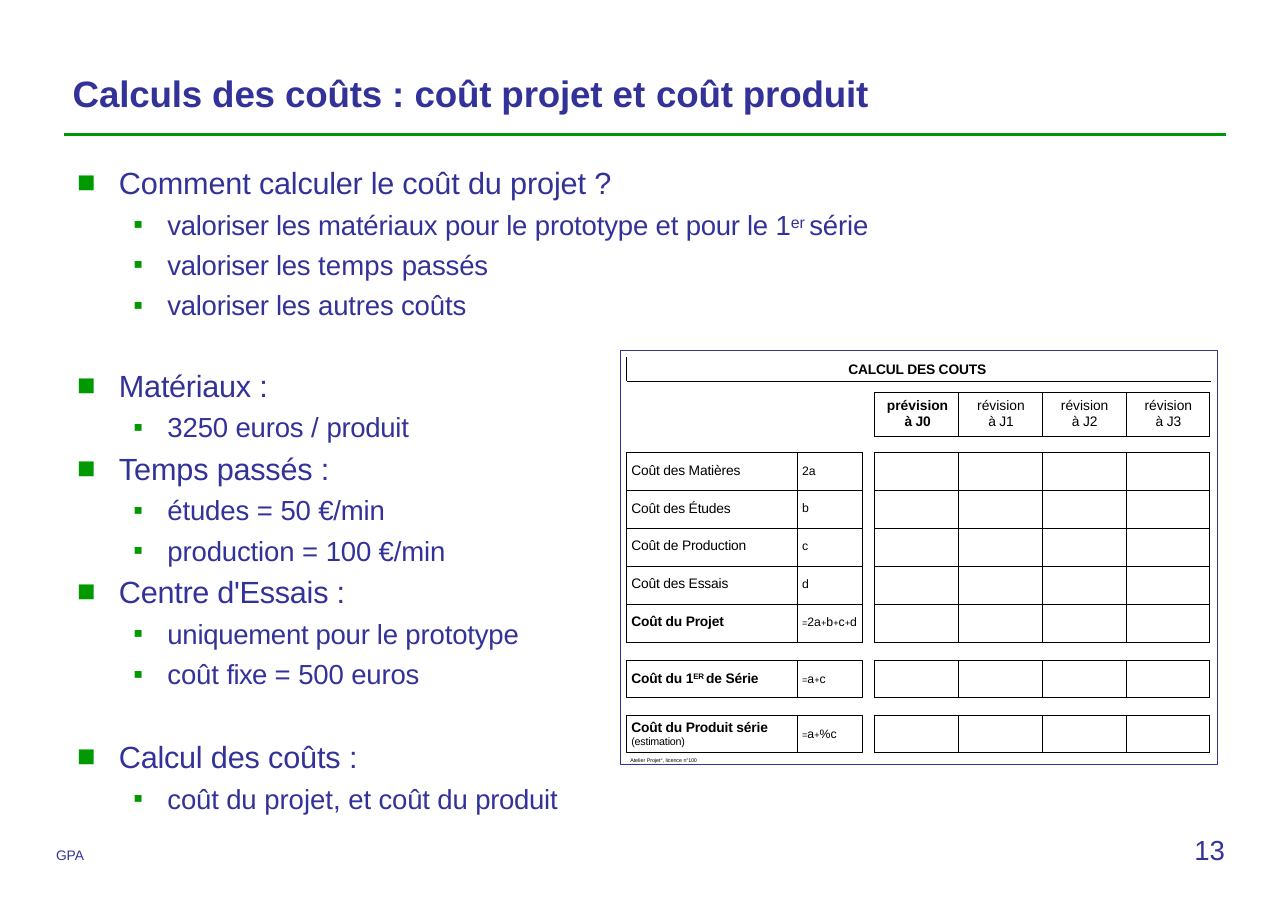
from itertools import groupby

from lxml import etree
from pptx import Presentation
from pptx.dml.color import RGBColor
from pptx.enum.shapes import MSO_CONNECTOR as CONNECTOR, MSO_SHAPE as SHAPE
from pptx.enum.text import MSO_ANCHOR as ANCHOR, PP_ALIGN as ALIGN
from pptx.oxml.ns import qn
from pptx.util import Emu, Inches, Pt

WIDTH, HEIGHT = Inches(11.69), Inches(8.26)
NAVY, GREEN, BULLET, BLACK = "323299", "009800", "009900", "000000"

# Cost sheet grid, in percent of the slide
LABEL_X, LABEL_W = 48.67, 13.26
FORMULA_X, FORMULA_W = 61.93, 5.05
REVISION_X, REVISION_W = 67.92, 6.5
COST_Y, COST_H = 49.76, 4.16
SERIES_Y, PRODUCT_Y, TOTAL_H = 72.52, 78.57, 4.12

# Runs are (text, letter spacing in hundredths of a point, optional baseline)
TITLE = [("Calculs des coûts ", -10), (": ", 0), ("coût projet ", -10),
         ("et ", 10), ("coût produit", -10)]
OUTLINE = [
    (17.19, 18.28, [
        (0, [("Comment ", -10), ("calculer le ", -20),
             ("coût du projet ", -10), ("?", 0)]),
        (1, [("valoriser les ", -20), ("matériaux ", -10), ("pour le ", -20),
             ("prototype et ", -10), ("pour le ", -20), ("1", -10),
             ("er ", -10, 25), ("série", -10)]),
        (1, [("valoriser les ", -20), ("temps ", 10), ("passés", -10)]),
        (1, [("valoriser les ", -20), ("autres coûts", -10)])]),
    (39.47, 36.68, [
        (0, [("Matériaux ", -20), (":", 0)]),
        (1, [("3250 euros ", -10), ("/ ", 0), ("produit", -20)]),
        (0, [("Temps ", -10), ("passés ", -20), (":", 0)]),
        (1, [("études ", -10), ("= ", 0), ("50 €/min", -10)]),
        (1, [("production ", -10), ("= ", 0), ("100 €/min", -10)]),
        (0, [("Centre d'Essais ", -20), (":", 0)]),
        (1, [("uniquement pour le ", -20), ("prototype", -10)]),
        (1, [("coût ", -10), ("fixe ", -40), ("= ", 0), ("500 euros", -10)])]),
    (80.27, 9.44, [
        (0, [("Calcul ", -20), ("des coûts ", -10), (":", 0)]),
        (1, [("coût du ", -10), ("projet, ", 0), ("et coût du ", -10),
             ("produit", -20)])]),
]
# Per level: size, line height, space before, left margin, hang, bullet
LEVELS = [(20, 23, 5, 0.4, -0.38, "■"), (18, 21, 5.3, 0.84, -0.31, "▪")]
COSTS = [("Coût des Matières", "2a"), ("Coût des Études", "b"),
         ("Coût de Production", "c"), ("Coût des Essais", "d"),
         ("Coût du Projet", "=2a+b+c+d")]
REVISIONS = ["prévision", "révision", "révision", "révision"]


def across(share):
    return Emu(round(WIDTH * share / 100))


def down(share):
    return Emu(round(HEIGHT * share / 100))


def area(x, y, w, h):
    return across(x), down(y), across(w), down(h)


def rgb(colour):
    return RGBColor.from_string(colour)


def write(paragraph, runs, size, colour=BLACK, bold=False):
    for text, spacing, *baseline in runs:
        run = paragraph.add_run()
        run.text = text
        run.font.name, run.font.size, run.font.bold = "Arial", Pt(size), bold
        run.font.color.rgb = rgb(colour)
        properties = run.font._element
        properties.set("spc", str(spacing))
        if baseline:
            properties.set("baseline", str(baseline[0] * 1000))


def write_formula(paragraph, formula):
    for is_sign, letters in groupby(formula, lambda letter: letter in "=+"):
        write(paragraph, [("".join(letters), 0)], 6 if is_sign else 8)


def indent(paragraph, margin, hang=0):
    properties = paragraph._p.get_or_add_pPr()
    properties.set("marL", str(Inches(margin)))
    properties.set("indent", str(Inches(hang)))
    return properties


def prepare(frame, top):
    frame.margin_left = frame.margin_right = frame.margin_bottom = 0
    frame.margin_top = Inches(top)
    frame.word_wrap = True
    frame.vertical_anchor = ANCHOR.TOP
    return frame


def text_box(slide, place, top):
    return prepare(slide.shapes.add_textbox(*area(*place)).text_frame, top)


def label(slide, place, runs, size, colour=BLACK, bold=False, top=0, margin=0.01):
    paragraph = text_box(slide, place, top).paragraphs[0]
    indent(paragraph, margin)
    write(paragraph, runs, size, colour, bold)
    return paragraph


def rule(slide, x1, y1, x2, y2, colour=BLACK, width=0.5):
    line = slide.shapes.add_connector(
        CONNECTOR.STRAIGHT, across(x1), down(y1), across(x2), down(y2))
    line.line.color.rgb, line.line.width = rgb(colour), Pt(width)
    etree.SubElement(line._element.spPr, qn("a:effectLst"))


def box(slide, place, top=0, colour=BLACK):
    shape = slide.shapes.add_shape(SHAPE.RECTANGLE, *area(*place))
    shape.shadow.inherit = False
    shape.fill.background()
    shape.line.color.rgb, shape.line.width = rgb(colour), Pt(0.5)
    paragraph = prepare(shape.text_frame, top).paragraphs[0]
    paragraph.alignment = ALIGN.LEFT
    indent(paragraph, 0.04)
    return shape.text_frame


def outline(slide, y, h, items):
    frame = text_box(slide, (5.82, y, 63.47, h), 0.08)
    for number, (level, runs) in enumerate(items):
        size, height, before, margin, hang, mark = LEVELS[level]
        paragraph = frame.add_paragraph() if number else frame.paragraphs[0]
        paragraph.level, paragraph.line_spacing = level, Pt(height)
        if number:
            paragraph.space_before = Pt(before)
        properties = indent(paragraph, margin, hang)
        colour = etree.SubElement(properties, qn("a:buClr"))
        etree.SubElement(colour, qn("a:srgbClr"), val=BULLET)
        etree.SubElement(properties, qn("a:buFont"), typeface="Arial")
        etree.SubElement(properties, qn("a:buChar"), char=mark)
        write(paragraph, runs, size, NAVY)


def border(cell):
    properties = cell._tc.get_or_add_tcPr()
    for position, side in enumerate(("lnL", "lnR", "lnT", "lnB")):
        edge = etree.Element(qn(f"a:{side}"), w=str(Pt(0.6)))
        fill = etree.SubElement(edge, qn("a:solidFill"))
        etree.SubElement(fill, qn("a:srgbClr"), val=BLACK)
        properties.insert(position, edge)


def grid(slide, x, y, widths, row_height, rows=1):
    place = area(x, y, sum(widths), row_height * rows)
    table = slide.shapes.add_table(rows, len(widths), *place).table
    table.first_row = table.horz_banding = False
    for column, width in zip(table.columns, widths):
        column.width = across(width)
    for row in table.rows:
        row.height = down(row_height)
        for cell in row.cells:
            cell.fill.background()
            cell.margin_left = cell.margin_right = 0
            cell.margin_top = cell.margin_bottom = 0
            border(cell)
    return table


def cost_sheet(slide):
    # Heading
    rule(slide, LABEL_X, 39.23, LABEL_X, 41.89)
    rule(slide, LABEL_X, 41.89, 94.01, 41.89)
    heading = [("CALCUL ", -10), ("DES ", -20), ("COUTS", -10)]
    label(slide, (65.78, 39.47, 11.21, 2.18), heading, 9, bold=True, top=0.01)

    # Revisions and their empty value cells
    columns = [REVISION_W] * len(REVISIONS)
    header = grid(slide, REVISION_X, 43.1, columns, 4.84)
    for number, name in enumerate(REVISIONS):
        cell = header.cell(0, number)
        cell.margin_top = Inches(0.05)
        paragraph = cell.text_frame.paragraphs[0]
        indent(paragraph, 0.27, -0.1 if number else -0.16)
        paragraph.line_spacing = Pt(10.5)
        write(paragraph, [(name, 0)], 9, bold=number == 0)
        paragraph.add_line_break()
        write(paragraph, [(f"à J{number}", -10)], 9, bold=number == 0)
    grid(slide, REVISION_X, COST_Y, columns, COST_H, len(COSTS))
    for y in (SERIES_Y, PRODUCT_Y):
        grid(slide, REVISION_X, y, columns, TOTAL_H)

    # Costs and formulas
    costs = grid(slide, LABEL_X, COST_Y, [LABEL_W, FORMULA_W], COST_H, len(COSTS))
    for number, (name, formula) in enumerate(COSTS):
        for cell, top in zip(costs.rows[number].cells, (0.09, 0.1)):
            cell.margin_top = Inches(top)
            indent(cell.text_frame.paragraphs[0], 0.04)
        write(costs.cell(number, 0).text_frame.paragraphs[0], [(name, -10)], 9,
              bold=name == "Coût du Projet")
        write_formula(costs.cell(number, 1).text_frame.paragraphs[0], formula)

    # Series and product totals
    series = box(slide, (LABEL_X, SERIES_Y, LABEL_W, TOTAL_H), 0.09)
    write(series.paragraphs[0], [("Coût du 1", -10), ("ER ", -10, 28),
                                 ("de Série", -10)], 9, bold=True)
    product = box(slide, (LABEL_X, PRODUCT_Y, LABEL_W, TOTAL_H), 0.03)
    write(product.paragraphs[0], [("Coût du Produit série", -10)], 9, bold=True)
    estimate = product.add_paragraph()
    estimate.alignment = ALIGN.LEFT
    indent(estimate, 0.04)
    write(estimate, [("(estimation)", -10)], 7)
    for y, formula in ((SERIES_Y, "=a+c"), (PRODUCT_Y, "=a+%c")):
        total = box(slide, (FORMULA_X, y, FORMULA_W, TOTAL_H), 0.1)
        write_formula(total.paragraphs[0], formula)

    # Licence line and frame
    licence = label(slide, (48.59, 82.93, 6.24, 1.09), [("Atelier Projet", 0)],
                    3.5, top=0.02, margin=0.04)
    write(licence, [("®", 0, 28)], 3)
    write(licence, [(", licence ", 0), ("n°100", -10)], 3.5)
    box(slide, (48.16, 38.5, 46.37, 45.52), colour="323298")


def main():
    deck = Presentation()
    deck.slide_width, deck.slide_height = WIDTH, HEIGHT
    slide = deck.slides.add_slide(deck.slide_layouts[6])

    # Title
    rule(slide, 4.96, 14.77, 95.21, 14.77, GREEN, 2)
    label(slide, (5.56, 7.63, 75, 5.21), TITLE, 24, NAVY, True, 0.01)

    # Body
    for y, h, items in OUTLINE:
        outline(slide, y, h, items)
    cost_sheet(slide)

    # Footer
    page = label(slide, (92.47, 91.65, 2.82, 3.75), [("13", 0)], 18, NAVY, margin=0.03)
    page.line_spacing = Pt(20.9)
    label(slide, (4.28, 93.1, 20.27, 1.82), [("GPA", -10)], 9, NAVY)
    deck.save("out.pptx")


if __name__ == "__main__":
    main()
